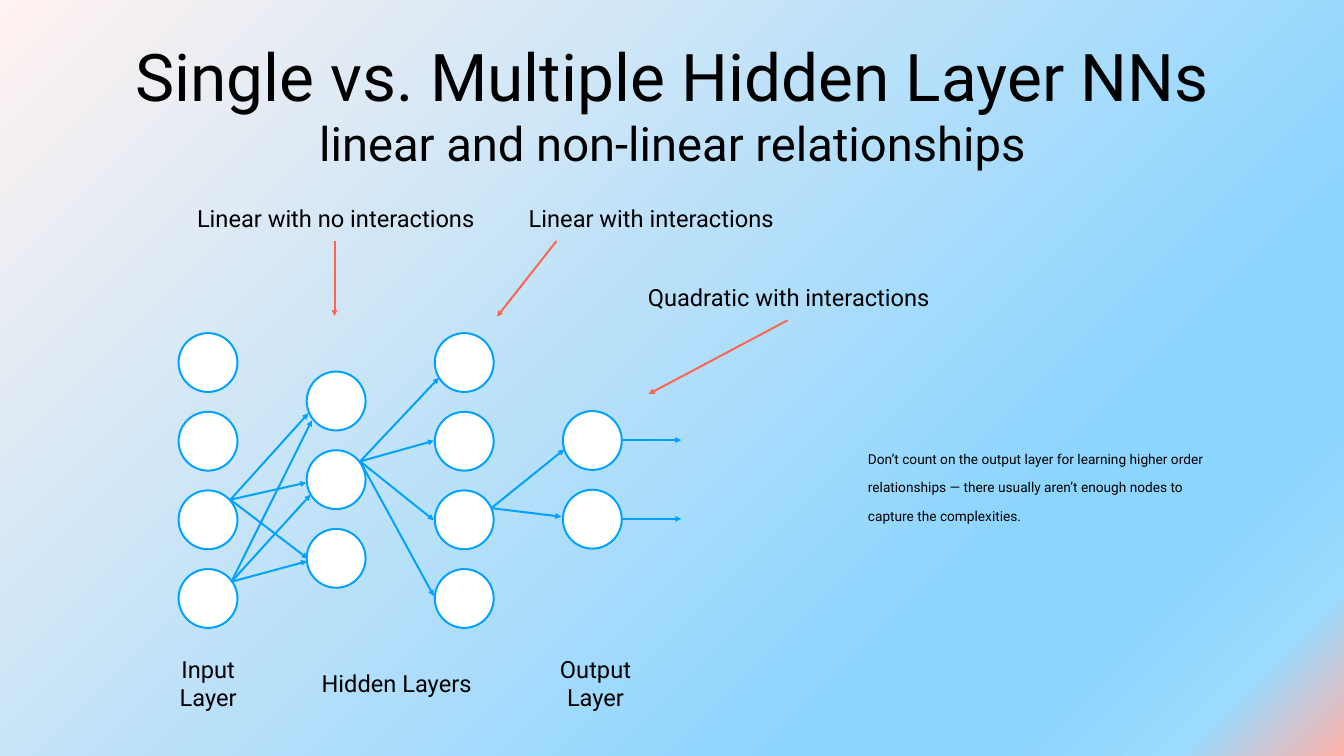
from lxml import etree
from pptx import Presentation
from pptx.dml.color import RGBColor
from pptx.enum import shapes, text
from pptx.oxml.ns import qn
from pptx.util import Pt

COLORS = {
    "ink": "000000", "node": "FFFFFF", "blue": "00A2FF", "coral": "FF644E",
    "blush": "FFF2F0", "sky": "8CD5FF", "pale_sky": "9BDBFF", "rose": "FFB2A9",
}
GRADIENT = [(0, "blush"), (74, "sky"), (83, "sky"), (92, "pale_sky"), (100, "rose")]


class Diagram:
    """Holds the style and the current page."""

    font = "Roboto"
    line_width = 2
    inset = 4.5

    def __init__(self, page):
        self.page = page

    def color(self, name):
        return RGBColor.from_string(COLORS[name])

    def backdrop(self, stops):
        fill = self.page.background.fill
        fill.gradient()
        fill.gradient_angle = 315
        stop_list = self.page.element.find(".//" + qn("a:gsLst"))
        for old_stop in list(stop_list):
            stop_list.remove(old_stop)
        for percent, name in stops:
            stop = etree.SubElement(stop_list, qn("a:gs"), pos=str(percent * 1000))
            etree.SubElement(stop, qn("a:srgbClr"), val=COLORS[name])

    def outline(self, shape, name):
        shape.line.color.rgb = self.color(name)
        shape.line.width = Pt(self.line_width)

    def node(self, left, top, size):
        circle = self.page.shapes.add_shape(
            shapes.MSO_SHAPE.OVAL, Pt(left), Pt(top), Pt(size), Pt(size))
        circle.shadow.inherit = False
        circle.fill.solid()
        circle.fill.fore_color.rgb = self.color("node")
        self.outline(circle, "blue")

    def arrow(self, start, end, name="blue"):
        points = [Pt(value) for value in (*start, *end)]
        connector = self.page.shapes.add_connector(shapes.MSO_CONNECTOR.STRAIGHT, *points)
        self.outline(connector, name)
        etree.SubElement(connector.line._get_or_add_ln(), qn("a:tailEnd"), type="triangle")
        etree.SubElement(connector._element.spPr, qn("a:effectLst"))

    def label(self, place, lines, size=24, align="CENTER", wrap=False, baseline=None):
        """Add a text box; each line is a (words, size) pair or just words."""
        box = self.page.shapes.add_textbox(*[Pt(value) for value in place])
        frame = box.text_frame
        frame_format = {
            "word_wrap": wrap, "vertical_anchor": text.MSO_ANCHOR.MIDDLE,
            **{f"margin_{side}": Pt(self.inset)
               for side in ("left", "right", "top", "bottom")},
        }
        for key, value in frame_format.items():
            setattr(frame, key, value)
        for index, line in enumerate(lines):
            words, points = line if isinstance(line, tuple) else (line, size)
            para = frame.add_paragraph() if index else frame.paragraphs[0]
            para.alignment = text.PP_ALIGN[align]
            span = para.add_run()
            span.text = words
            for key, value in {"name": self.font, "size": Pt(points)}.items():
                setattr(span.font, key, value)
            span.font.color.rgb = self.color("ink")
            if baseline:
                span.font._element.set("baseline", str(baseline * 1000))


def main():
    deck = Presentation()
    deck.slide_width, deck.slide_height = Pt(1365), Pt(768)
    diagram = Diagram(deck.slides.add_slide(deck.slide_layouts[6]))
    diagram.backdrop(GRADIENT)

    # Title
    diagram.label((100, 20, 1165.7, 170), [
        ("Single vs. Multiple Hidden Layer NNs", 66.8),
        ("linear and non-linear relationships", 47.9),
    ], wrap=True)

    # Network layers: top of the first node and node count
    layers = [(338.4, 4), (377.5, 3), (338.4, 4), (417.6, 2)]
    for column, (first_top, count) in enumerate(layers):
        for row in range(count):
            diagram.node(181.4 + 130.1 * column, first_top + 79.9 * row, 59.8)

    # Links, grouped by the point they leave from
    links = {
        (235, 591): [(311.8, 570.2), (315.4, 502.6), (316.8, 427)],
        (234, 507.6): [(313.2, 419.8), (311, 490.3), (312.5, 567.4)],
        (365.8, 468.7): [(445.7, 383.8), (440.6, 447.8), (440.6, 528.5), (440.6, 605.5)],
        (499, 516.2): [(573.1, 456.5), (570.2, 524.9)],
        (630.7, 447.1): [(691.9, 447.1)],
        (630.7, 527): [(691.9, 527)],
    }
    for start, ends in links.items():
        for end in ends:
            diagram.arrow(start, end)

    # Layer names
    diagram.label((175, 661, 72.7, 65.5), ["Input", "Layer"])
    diagram.label((318.2, 675.4, 169.2, 36), ["Hidden Layers"])
    diagram.label((558.7, 661, 92.2, 65.5), ["Output", "Layer"])

    # Relationship callouts: words, place, arrow start and end
    callouts = [
        ("Linear with no interactions", (190.1, 203.8, 301.7, 36),
         (339.8, 244.8), (339.8, 321.1)),
        ("Linear with interactions", (527.8, 203.8, 267.1, 36),
         (565.2, 244.8), (504.7, 321.8)),
        ("Quadratic with interactions", (647.3, 283.7, 307.4, 36),
         (799.9, 325.4), (658.8, 400.3)),
    ]
    for words, place, start, end in callouts:
        diagram.label(place, [words])
        diagram.arrow(start, end, "coral")

    # Side note
    diagram.label((877, 404.6, 378.7, 187.2), [
        "Don’t count on the output layer for learning higher order relationships — "
        "there usually aren’t enough nodes to capture the complexities.",
    ], align="LEFT", wrap=True, baseline=29)

    deck.save("out.pptx")


if __name__ == "__main__":
    main()
